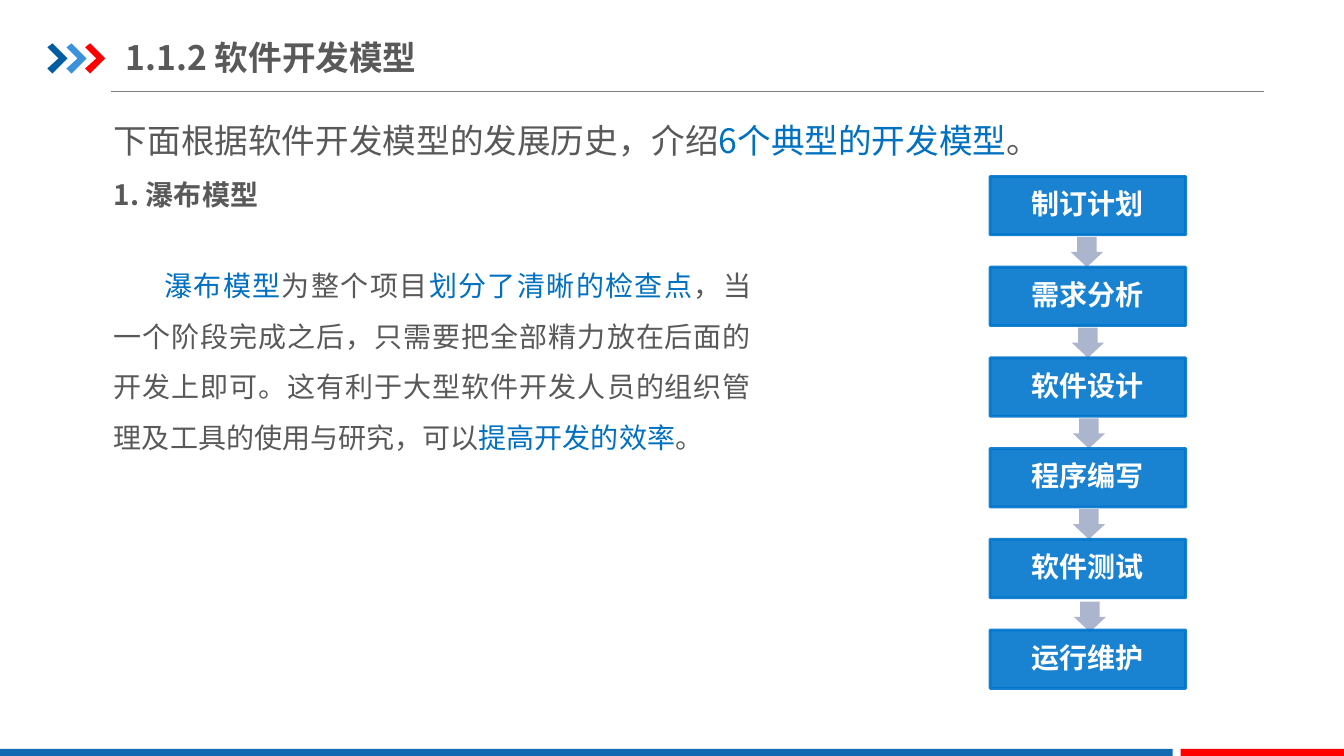
from dataclasses import dataclass
from typing import Optional

from lxml.etree import SubElement
from pptx import Presentation
from pptx.dml.color import RGBColor
from pptx.enum.shapes import MSO_CONNECTOR, MSO_SHAPE
from pptx.enum.text import MSO_ANCHOR, MSO_AUTO_SIZE, PP_ALIGN
from pptx.oxml.ns import qn
from pptx.util import Inches, Pt

FONT = "Noto Sans CJK SC"
COLOURS = {
    "text": "595959",
    "accent": "0070C0",
    "white": "FFFFFF",
    "rule": "808080",
    "navy": "005DA2",
    "sky": "3992DB",
    "red": "FF0000",
    "footer": "1369B2",
    "stage": "0075CC",
    "arrow": "ABB6CE",
}


@dataclass(frozen=True)
class Span:
    text: str
    colour: str = "text"


@dataclass(frozen=True)
class Area:
    left: float
    top: float
    width: float
    height: float


@dataclass(frozen=True)
class Chevron:
    left: float
    colour: str


@dataclass(frozen=True)
class Stage:
    name: str
    arrow_left: Optional[float] = None
    arrow_gap: float = 0.02


CHEVRONS = [Chevron(0.47, "navy"), Chevron(0.66, "sky"), Chevron(0.845, "red")]
CHEVRON_POINTS = [(0, 0.47), (0.05, 0.43), (0.2, 0.58), (0.05, 0.73), (0, 0.68), (0.11, 0.58)]
FOOTER_BARS = [(Area(0, 7.43, 11.63, 0.09), "footer"), (Area(11.71, 7.43, 1.63, 0.09), "red")]
STAGES = [
    Stage("制订计划", 10.62),
    Stage("需求分析", 10.63),
    Stage("软件设计", 10.64),
    Stage("程序编写", 10.64),
    Stage("软件测试", 10.65, 0.04),
    Stage("运行维护"),
]
STAGE_AREA = Area(9.82, 1.75, 1.94, 0.58)
STAGE_STEP = 0.9
INTRODUCTION = [
    Span("下面根据软件开发模型的发展历史，介绍"),
    Span("6个典型的开发模型", "accent"),
    Span("。"),
]
WATERFALL = [
    Span("瀑布模型", "accent"),
    Span("为整个项目"),
    Span("划分了清晰的检查点", "accent"),
    Span("，当一个阶段完成之后，只需要把全部精力放在后面的开发上即可。"
         "这有利于大型软件开发人员的组织管理及工具的使用与研究，可以"),
    Span("提高开发的效率", "accent"),
    Span("。"),
]


def colour_of(name: str) -> RGBColor:
    return RGBColor.from_string(COLOURS[name])


def paint(shape, colour: str) -> None:
    shape.shadow.inherit = False
    shape.fill.solid()
    shape.fill.fore_color.rgb = colour_of(colour)
    shape.line.fill.background()


def add_block(page, kind, area: Area, colour: str):
    block = page.shapes.add_shape(kind, Inches(area.left), Inches(area.top),
                                  Inches(area.width), Inches(area.height))
    paint(block, colour)
    return block


def add_text_box(page, area: Area, inset: float = 0.13, anchor=MSO_ANCHOR.TOP,
                 grow: bool = True):
    box = page.shapes.add_textbox(Inches(area.left), Inches(area.top),
                                  Inches(area.width), Inches(area.height))
    set_frame(box.text_frame, inset, 0.07, anchor)
    if grow:
        box.text_frame.auto_size = MSO_AUTO_SIZE.SHAPE_TO_FIT_TEXT
    return box


def set_frame(frame, side: float, end: float, anchor) -> None:
    frame.word_wrap = True
    frame.margin_left = frame.margin_right = Inches(side)
    frame.margin_top = frame.margin_bottom = Inches(end)
    frame.vertical_anchor = anchor


def write(para, spans: list[Span], size: int = 20, bold: bool = False, align=None,
          line_spacing: Optional[float] = None, space_after: Optional[int] = None,
          indent: float = 0) -> None:
    para.alignment = align
    para.line_spacing = line_spacing
    if space_after is not None:
        para.space_after = Pt(space_after)
    if indent:
        properties = para._p.get_or_add_pPr()
        properties.set("marL", "0")
        properties.set("indent", str(Inches(indent)))
    for span in spans:
        run = para.add_run()
        run.text = span.text
        run.font.size = Pt(size)
        run.font.bold = bold
        run.font.name = FONT
        run.font.color.rgb = colour_of(span.colour)
        SubElement(run._r.get_or_add_rPr(), qn("a:ea"), typeface=FONT)


def add_header_and_footer(page) -> None:
    rule = page.shapes.add_connector(MSO_CONNECTOR.STRAIGHT, Inches(1.1), Inches(0.91),
                                     Inches(12.54), Inches(0.91))
    rule.line.color.rgb = colour_of("rule")
    rule.line.width = Pt(0.75)
    SubElement(rule._element.spPr, qn("a:effectLst"))
    for chevron in CHEVRONS:
        points = [(Inches(chevron.left + x), Inches(y)) for x, y in CHEVRON_POINTS]
        builder = page.shapes.build_freeform(*points[0])
        builder.add_line_segments(points[1:], close=True)
        paint(builder.convert_to_shape(), chevron.colour)
    for area, colour in FOOTER_BARS:
        add_block(page, MSO_SHAPE.RECTANGLE, area, colour)
    title = add_text_box(page, Area(1.25, 0.29, 4.26, 0.55), inset=0,
                         anchor=MSO_ANCHOR.MIDDLE, grow=False)
    write(title.text_frame.paragraphs[0], [Span("1.1.2 软件开发模型")], size=24, bold=True)


def add_body(page) -> None:
    frame = add_text_box(page, Area(1, 0.92, 11.42, 1.19)).text_frame
    write(frame.paragraphs[0], INTRODUCTION, size=24, align=PP_ALIGN.JUSTIFY, line_spacing=1.5)
    write(frame.add_paragraph(), [Span("1. 瀑布模型")], bold=True,
          align=PP_ALIGN.JUSTIFY, line_spacing=1.5)
    frame = add_text_box(page, Area(1, 2.43, 6.58, 2.09)).text_frame
    write(frame.paragraphs[0], WATERFALL, align=PP_ALIGN.JUSTIFY, line_spacing=1.5, indent=0.5)


def add_stage(page, stage: Stage, top: float) -> None:
    area = Area(STAGE_AREA.left, top, STAGE_AREA.width, STAGE_AREA.height)
    box = add_block(page, MSO_SHAPE.RECTANGLE, area, "stage")
    box.line.color.rgb = colour_of("stage")
    box.line.width = Pt(2)
    for colour in box._element.spPr.iter(qn("a:srgbClr")):
        SubElement(colour, qn("a:alpha"), val="90000")
    set_frame(box.text_frame, 0.21, 0.04, MSO_ANCHOR.MIDDLE)
    write(box.text_frame.paragraphs[0], [Span(stage.name, "white")], bold=True,
          align=PP_ALIGN.CENTER, line_spacing=0.9, space_after=7)
    if stage.arrow_left is not None:
        arrow_area = Area(stage.arrow_left, top + area.height + stage.arrow_gap, 0.32, 0.3)
        arrow = add_block(page, MSO_SHAPE.DOWN_ARROW, arrow_area, "arrow")
        arrow.adjustments[0] = 0.6
        arrow.adjustments[1] = 0.5


def main() -> None:
    deck = Presentation()
    deck.slide_width = Inches(13.33)
    deck.slide_height = Inches(7.5)
    page = deck.slides.add_slide(deck.slide_layouts[6])
    add_header_and_footer(page)
    add_body(page)
    for index, stage in enumerate(STAGES):
        add_stage(page, stage, STAGE_AREA.top + index * STAGE_STEP)
    deck.save("out.pptx")


if __name__ == "__main__":
    main()
